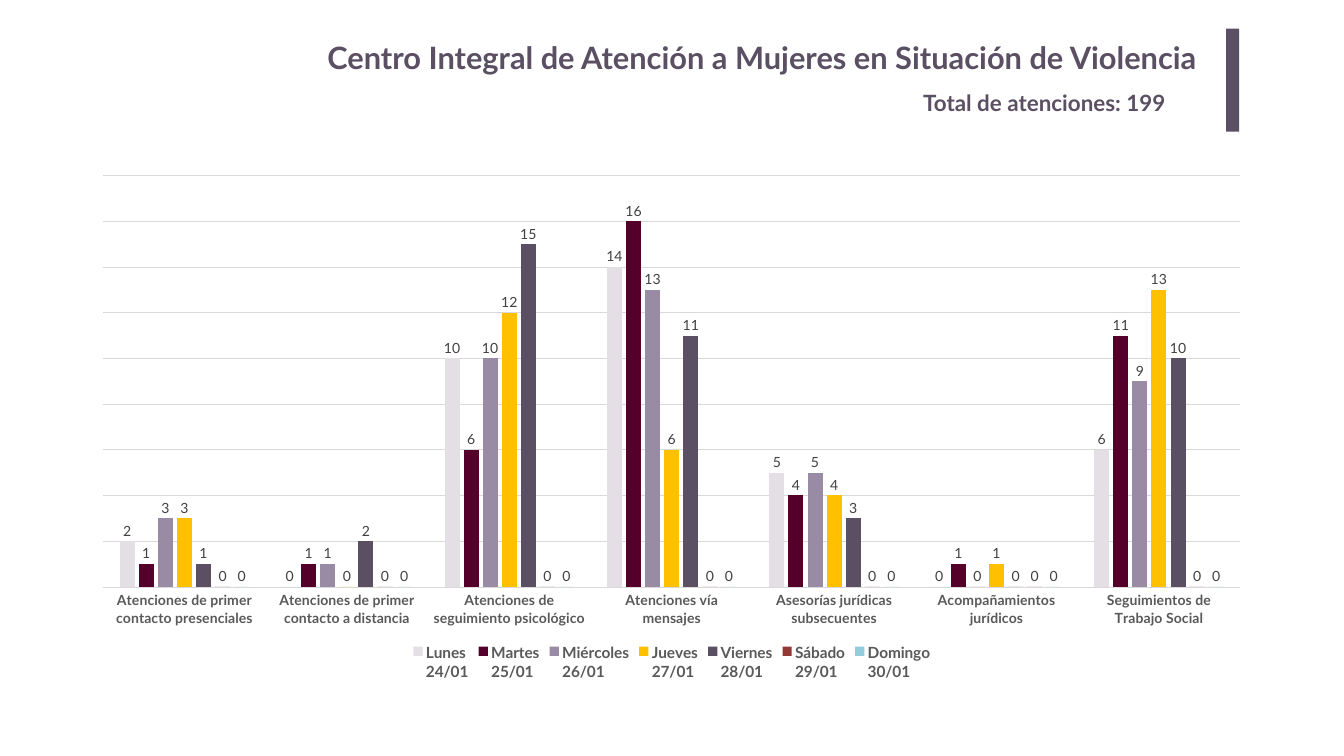
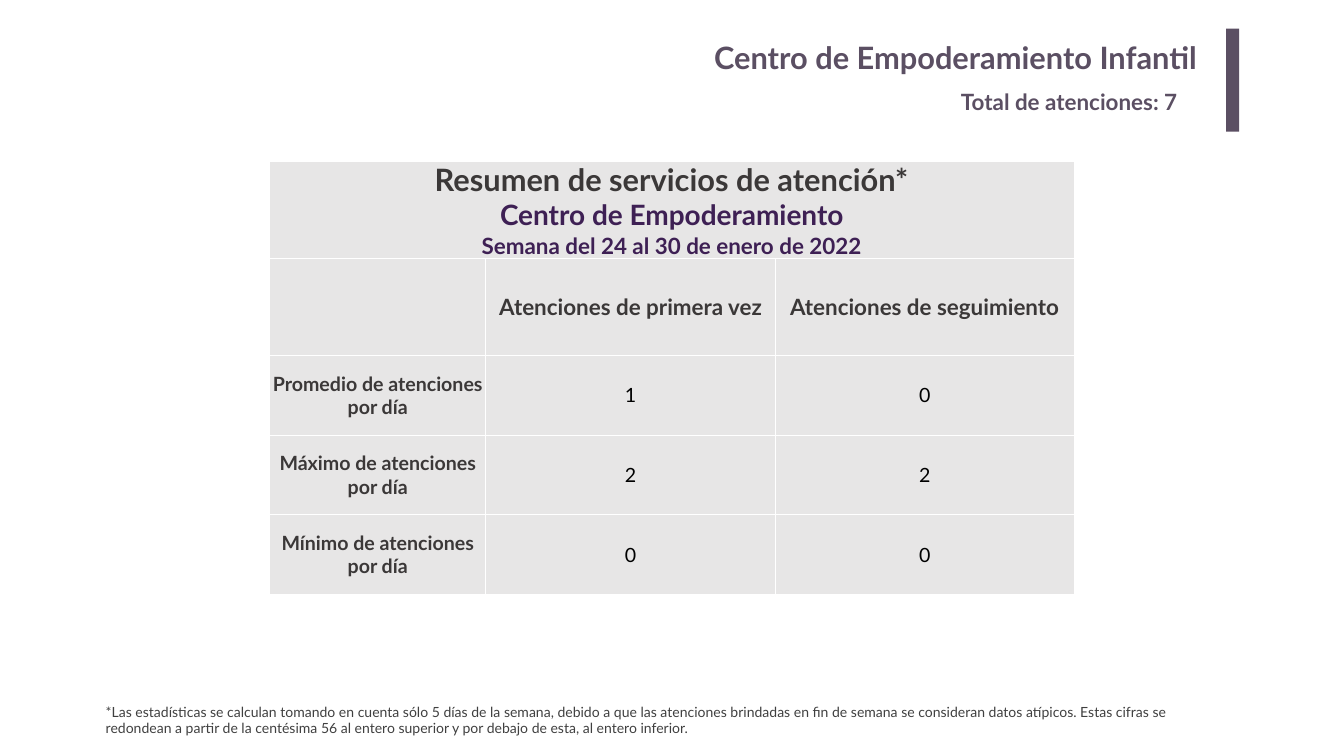
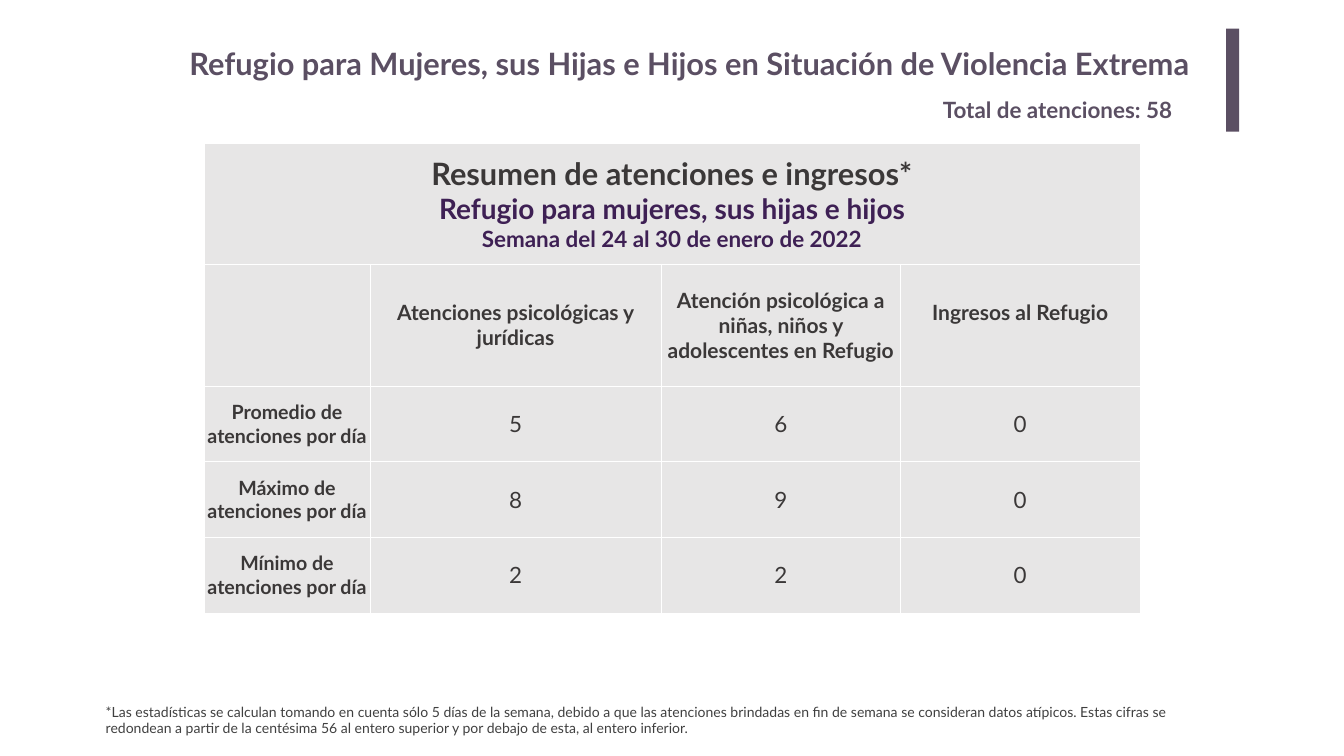
from dataclasses import dataclass

from lxml.etree import SubElement
from pptx import Presentation
from pptx.chart.data import CategoryChartData as ChartData
from pptx.dml.color import RGBColor
from pptx.enum.chart import (
    XL_CHART_TYPE as Kind, XL_LABEL_POSITION as Spot,
    XL_LEGEND_POSITION as Side, XL_TICK_LABEL_POSITION as Tags,
    XL_TICK_MARK as Tick)
from pptx.enum.shapes import MSO_SHAPE as Form
from pptx.enum.text import (
    MSO_ANCHOR as Anchor, MSO_AUTO_SIZE as Fit, PP_ALIGN as Align)
from pptx.oxml.ns import qn
from pptx.util import Pt

SCALE = 9144  # EMU in one px, 100 px to the inch
FACE = "Lato"
PLUM, INK, VIOLET = "5B4F63", "3B3838", "3E2054"
GREY, AXIS, GRID = "404040", "595959", "D9D9D9"
CELL, WHITE, BLACK = "E7E6E6", "FFFFFF", "000000"

WEEK = "Semana del 24 al 30 de enero de 2022"
ROWS = [f"{name} de atenciones por día"
        for name in ("Promedio", "Máximo", "Mínimo")]
NOTE = (
    "*Las estadísticas se calculan tomando en cuenta sólo 5 días de la "
    "semana, debido a que las atenciones brindadas en fin de semana se "
    "consideran datos atípicos. Estas cifras se redondean a partir de la "
    "centésima 56 al entero superior y por debajo de esta, al entero "
    "inferior.")


@dataclass(frozen=True)
class Box:
    left: int
    top: int
    width: int
    height: int

    def emu(self) -> list[int]:
        return [px(n) for n in (self.left, self.top, self.width, self.height)]


@dataclass(frozen=True)
class Line:
    text: str
    size: int
    color: str
    bold: bool = True


@dataclass(frozen=True)
class Head:
    title: str
    total: int
    sub: Box
    box: Box = Box(366, 67, 2030, 102)
    align: Align = Align.RIGHT
    pad: tuple[int, int] = (20, 10)


@dataclass(frozen=True)
class Grid:
    box: Box
    cols: list[int]
    rows: list[int]
    title: str
    group: str
    heads: list[str]
    size: int
    vals: list[list[int]]
    ink: str


@dataclass(frozen=True)
class Day:
    name: str
    color: str
    vals: list[int]


CATS = [
    "Atenciones de primer contacto presenciales",
    "Atenciones de primer contacto a distancia",
    "Atenciones de seguimiento psicológico",
    "Atenciones vía mensajes",
    "Asesorías jurídicas subsecuentes",
    "Acompañamientos jurídicos",
    "Seguimientos de Trabajo Social",
]
DAYS = [
    Day("Lunes\n24/01", "E3DFE5", [2, 0, 10, 14, 5, 0, 6]),
    Day("Martes\n25/01", "54002A", [1, 1, 6, 16, 4, 1, 11]),
    Day("Miércoles\n26/01", "998BA3", [3, 1, 10, 13, 5, 0, 9]),
    Day("Jueves\n27/01", "FFC000", [3, 0, 12, 6, 4, 1, 13]),
    Day("Viernes\n28/01", PLUM, [1, 2, 15, 11, 3, 0, 10]),
    Day("Sábado\n29/01", "953735", [0] * 7),
    Day("Domingo\n30/01", "93CDDD", [0] * 7),
]
CARE = Head("Centro Integral de Atención a Mujeres en Situación de Violencia",
            199, Box(1822, 171, 592, 64))
KIDS = Head("Centro de Empoderamiento Infantil", 7, Box(1897, 169, 505, 64))
HOME = Head(
    "Refugio para Mujeres, sus Hijas e Hijos en Situación de Violencia Extrema",
    58, Box(1861, 185, 535, 64), Box(366, 84, 2073, 84), Align.LEFT, (10, 5))
KIDS_GRID = Grid(
    Box(535, 320, 1596, 858), [429, 575, 592], [192] * 2 + [158] * 3,
    "Resumen de servicios de atención*", "Centro de Empoderamiento",
    ["Atenciones de primera vez", "Atenciones de seguimiento"], 32,
    [[1, 0], [2, 2], [0, 0]], BLACK)
HOME_GRID = Grid(
    Box(405, 284, 1857, 932), [329, 578, 475, 475], [240, 242] + [150] * 3,
    "Resumen de atenciones e ingresos*",
    "Refugio para mujeres, sus hijas e hijos",
    ["Atenciones psicológicas y jurídicas",
     "Atención psicológica a niñas, niños y adolescentes en Refugio",
     "Ingresos al Refugio"], 30,
    [[5, 6, 0], [8, 9, 0], [2, 2, 0]], INK)


def px(count: int) -> int:
    return count * SCALE


def rgb(code: str) -> RGBColor:
    return RGBColor.from_string(code)


def style(font, size: int, color: str, bold: bool = False) -> None:
    font.name, font.size, font.bold = FACE, Pt(size), bold
    font.color.rgb = rgb(color)


def paint(fill, color: str) -> None:
    fill.solid()
    fill.fore_color.rgb = rgb(color)


def write(frame, lines: list[Line], align: Align) -> None:
    frame.text = "\n".join(line.text for line in lines)
    for para, line in zip(frame.paragraphs, lines):
        para.alignment = align
        for run in para.runs:
            style(run.font, line.size, line.color, line.bold)


def label(slide, box: Box, line: Line, align: Align = Align.LEFT,
          pad: tuple[int, int] = (10, 5), grow: bool = True) -> None:
    frame = slide.shapes.add_textbox(*box.emu()).text_frame
    frame.word_wrap = True
    frame.auto_size = Fit.SHAPE_TO_FIT_TEXT if grow else Fit.NONE
    frame.margin_left = frame.margin_right = px(pad[0])
    frame.margin_top = frame.margin_bottom = px(pad[1])
    write(frame, [line], align)


def header(slide, head: Head) -> None:
    label(slide, head.box, Line(head.title, 44, PLUM), head.align, head.pad,
          grow=head.align == Align.LEFT)
    bar = slide.shapes.add_shape(Form.RECTANGLE, *Box(2433, 57, 26, 204).emu())
    bar.shadow.inherit = False
    paint(bar.fill, PLUM)
    bar.line.fill.background()
    label(slide, head.sub, Line(f"Total de atenciones: {head.total}", 32, PLUM))


def edge(cell) -> None:
    """Give the cell thin white borders; they must precede its fill."""
    props = cell._tc.get_or_add_tcPr()
    for side in ("lnL", "lnR", "lnT", "lnB"):
        line = SubElement(props, qn(f"a:{side}"), w=str(Pt(1)))
        fill = SubElement(line, qn("a:solidFill"))
        SubElement(fill, qn("a:srgbClr"), val=WHITE)


def table(slide, grid: Grid) -> None:
    tab = slide.shapes.add_table(
        len(grid.rows), len(grid.cols), *grid.box.emu()).table
    tab.first_row = tab.horz_banding = False
    for col, width in zip(tab.columns, grid.cols):
        col.width = px(width)
    for row, height in zip(tab.rows, grid.rows):
        row.height = px(height)
    for cell in tab.iter_cells():
        edge(cell)
        paint(cell.fill, CELL)
        cell.vertical_anchor = Anchor.MIDDLE
        cell.margin_left = cell.margin_right = 0
        cell.margin_top = cell.margin_bottom = 0

    top = tab.cell(0, 0)
    top.merge(tab.cell(0, len(grid.cols) - 1))
    write(top.text_frame, [Line(grid.title, 44, INK),
                           Line(grid.group, 40, VIOLET),
                           Line(WEEK, 32, VIOLET)], Align.CENTER)
    body = [[Line(text, grid.size, INK) for text in ["", *grid.heads]]]
    for name, vals in zip(ROWS, grid.vals):
        size = 32 if grid.ink == INK else 28
        body.append([Line(name, 28, INK)]
                    + [Line(str(val), size, grid.ink, False) for val in vals])
    for r, lines in enumerate(body, 1):
        for c, line in enumerate(lines):
            write(tab.cell(r, c).text_frame, [line], Align.CENTER)
    if len(grid.heads) == 3:
        tab.cell(1, 3).margin_bottom = px(50)


def chart(slide, box: Box) -> None:
    data = ChartData()
    data.categories = CATS
    for day in DAYS:
        data.add_series(day.name, day.vals)
    graph = slide.shapes.add_chart(
        Kind.COLUMN_CLUSTERED, *box.emu(), data).chart
    style(graph.font, 10, BLACK)
    graph.has_title = False
    graph.has_legend = True
    graph.legend.position = Side.BOTTOM
    graph.legend.include_in_layout = False
    style(graph.legend.font, 22, AXIS, True)

    base = graph.category_axis
    base.major_tick_mark = base.minor_tick_mark = Tick.NONE
    base.tick_label_position = Tags.LOW
    style(base.tick_labels.font, 20, AXIS, True)
    scale = graph.value_axis
    scale.visible = False
    scale.minimum_scale, scale.maximum_scale, scale.major_unit = 0, 18, 2
    scale.has_major_gridlines = True
    for line in (base.format.line, scale.major_gridlines.format.line):
        line.color.rgb = rgb(GRID)
        line.width = Pt(0.75)

    plot = graph.plots[0]
    plot.gap_width, plot.overlap = 219, -27
    plot.vary_by_categories = False
    for item, day in zip(plot.series, DAYS):
        paint(item.format.fill, day.color)
        item.invert_if_negative = False
        tags = item.data_labels
        tags.show_value = True
        tags.position = Spot.OUTSIDE_END
        style(tags.font, 20, GREY)


def main() -> None:
    deck = Presentation()
    deck.slide_width, deck.slide_height = px(2667), px(1500)
    blank = deck.slide_layouts[6]

    slide = deck.slides.add_slide(blank)
    header(slide, CARE)
    chart(slide, Box(158, 328, 2350, 1028))

    for head, grid in ((KIDS, KIDS_GRID), (HOME, HOME_GRID)):
        slide = deck.slides.add_slide(blank)
        table(slide, grid)
        header(slide, head)
        label(slide, Box(200, 1390, 2233, 77), Line(NOTE, 20, GREY, False))
    deck.save("out.pptx")


if __name__ == "__main__":
    main()
